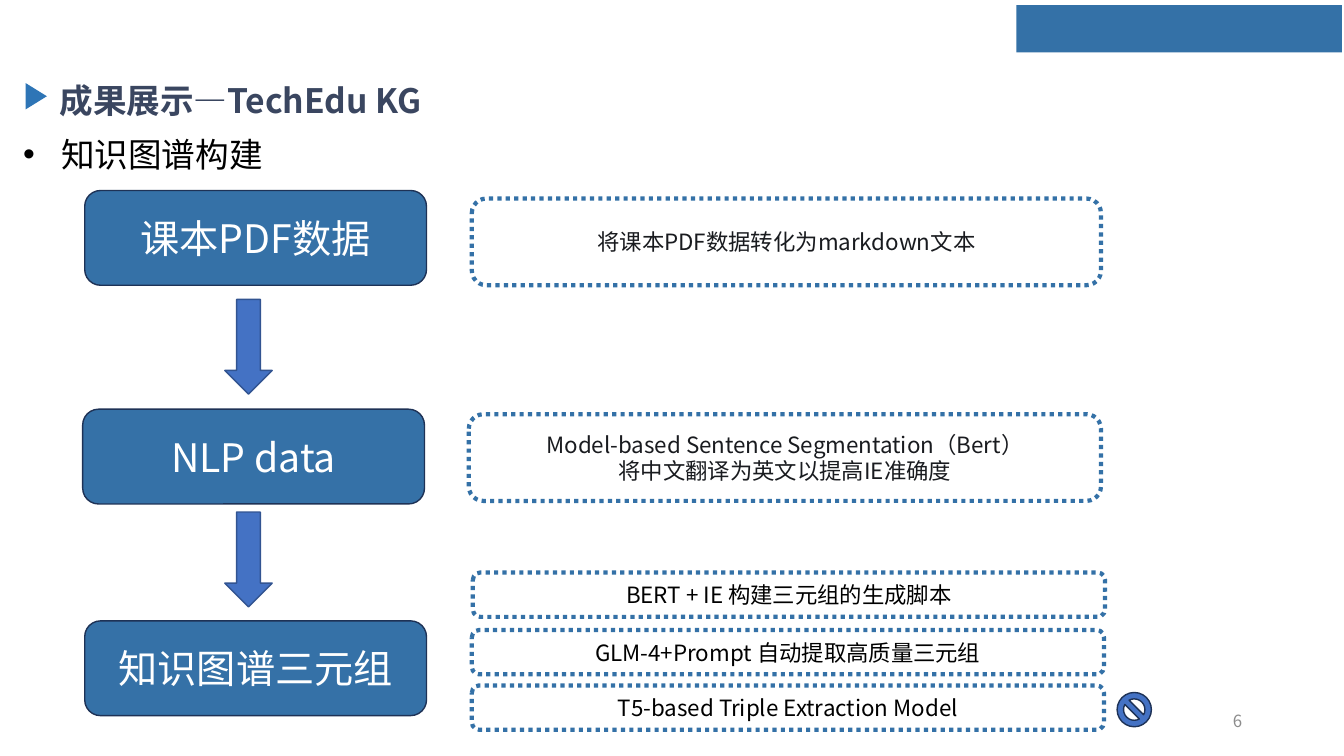
from lxml import etree
from pptx import Presentation
from pptx import util as u
from pptx.dml.color import RGBColor
from pptx.enum import dml, shapes, text
from pptx.oxml.ns import qn

PX = 9144  # 100 px to the inch
THEME = {
    "font": "Noto Sans CJK SC",
    "heading": "3A4660", "black": "000000", "ink": "191B1F", "white": "FFFFFF",
    "grey": "8C8C8C", "marker": "2E75B6", "banner": "3471A7", "step": "3571A7",
    "edge": "1E3256", "arrow": "4472C4", "arrow_edge": "325491",
    "title_size": 24, "step_size": 28, "note_size": 16, "number_size": 12,
}
GEOMETRY = shapes.MSO_SHAPE
ALIGN = text.PP_ALIGN


def write(box, lines, size, color, align, anchor, bold=False):
    """Fill a box with evenly formatted paragraphs."""
    frame = box.text_frame
    frame.word_wrap = True
    frame.auto_size = text.MSO_AUTO_SIZE.NONE
    frame.vertical_anchor = anchor
    frame.text = lines
    for para in frame.paragraphs:
        para.alignment = align
        para.space_before = u.Pt(0)
        para.font.size = u.Pt(THEME[size])
        para.font.bold = bold
        para.font.color.rgb = RGBColor.from_string(THEME[color])
        para.font.name = THEME["font"]
        defaults = para._p.pPr.find(qn("a:defRPr"))
        etree.SubElement(defaults, qn("a:ea"), typeface=THEME["font"])


def draw(geometry, place, fill, line=None, width=1):
    """Add a flat preset shape; place is left, top, width, height in px."""
    shape = page.shapes.add_shape(geometry, *[n * PX for n in place])
    shape.shadow.inherit = False
    shape.fill.solid()
    shape.fill.fore_color.rgb = RGBColor.from_string(THEME[fill])
    if line:
        shape.line.color.rgb = RGBColor.from_string(THEME[line])
        shape.line.width = u.Pt(width)
    else:
        shape.line.fill.background()
    return shape


deck = Presentation()
deck.slide_width, deck.slide_height = 1333 * PX, 750 * PX
page = deck.slides.add_slide(deck.slide_layouts[1])
title, topic = page.placeholders
middle, top = text.MSO_ANCHOR.MIDDLE, text.MSO_ANCHOR.TOP

# Title with its marker, and the corner banner
title.left, title.top, title.width, title.height = [n * PX for n in (52, 75, 457, 96)]
write(title, "成果展示—TechEdu KG", "title_size", "heading", ALIGN.LEFT, top, bold=True)
title.text_frame.margin_left = title.text_frame.margin_right = 7 * PX
title.text_frame.margin_top = title.text_frame.margin_bottom = 4 * PX
marker = draw(GEOMETRY.ISOSCELES_TRIANGLE, (23, 85, 26, 21), "marker")
marker.rotation = 90
draw(GEOMETRY.RECTANGLE, (1008, 5, 323, 47), "banner")

# Topic line with an arrow bullet
topic.left, topic.top, topic.width, topic.height = [n * PX for n in (13, 128, 922, 55)]
topic.text_frame.text = "知识图谱构建"
indent = topic.text_frame.paragraphs[0]._p.get_or_add_pPr()
indent.set("marL", str(38 * PX))
indent.set("indent", str(-38 * PX))
etree.SubElement(indent, qn("a:buFont"), typeface="Wingdings")
etree.SubElement(indent, qn("a:buChar"), char="➢")
bullet = list(indent)
write(topic, "知识图谱构建", "title_size", "black", ALIGN.LEFT, top)

# Pipeline steps
for left, y, label in [
    (84, 189, "课本PDF数据"),
    (82, 406, "NLP data"),
    (84, 616, "知识图谱三元组"),
]:
    step = draw(GEOMETRY.ROUNDED_RECTANGLE, (left, y, 339, 94), "step", "edge")
    write(step, label, "step_size", "white", ALIGN.CENTER, middle)

# Arrows between the steps
for y in (297, 508):
    draw(GEOMETRY.DOWN_ARROW, (223, y, 47, 94), "arrow", "arrow_edge")

# Dotted notes beside the steps
for place, lines, color in [
    ((468, 197, 624, 86), "将课本PDF数据转化为markdown文本", "ink"),
    ((465, 411, 627, 86),
     "Model-based Sentence Segmentation（Bert）\n将中文翻译为英文以提高IE准确度", "ink"),
    ((469, 568, 627, 44), "BERT + IE 构建三元组的生成脚本", "black"),
    ((468, 625, 627, 44), "GLM-4+Prompt 自动提取高质量三元组", "black"),
    ((468, 680, 627, 44), "T5-based Triple Extraction Model", "black"),
]:
    note = draw(GEOMETRY.ROUNDED_RECTANGLE, place, "white", "banner", 3)
    note.line.dash_style = dml.MSO_LINE.ROUND_DOT
    write(note, lines, "note_size", color, ALIGN.CENTER, middle)

# Sign for the dropped model, and the page number
draw(GEOMETRY.NO_SYMBOL, (1108, 687, 34, 34), "arrow", "edge")
number = page.shapes.add_textbox(*[n * PX for n in (942, 695, 300, 40)])
write(number, "6", "number_size", "grey", ALIGN.RIGHT, middle)

deck.save("out.pptx")
